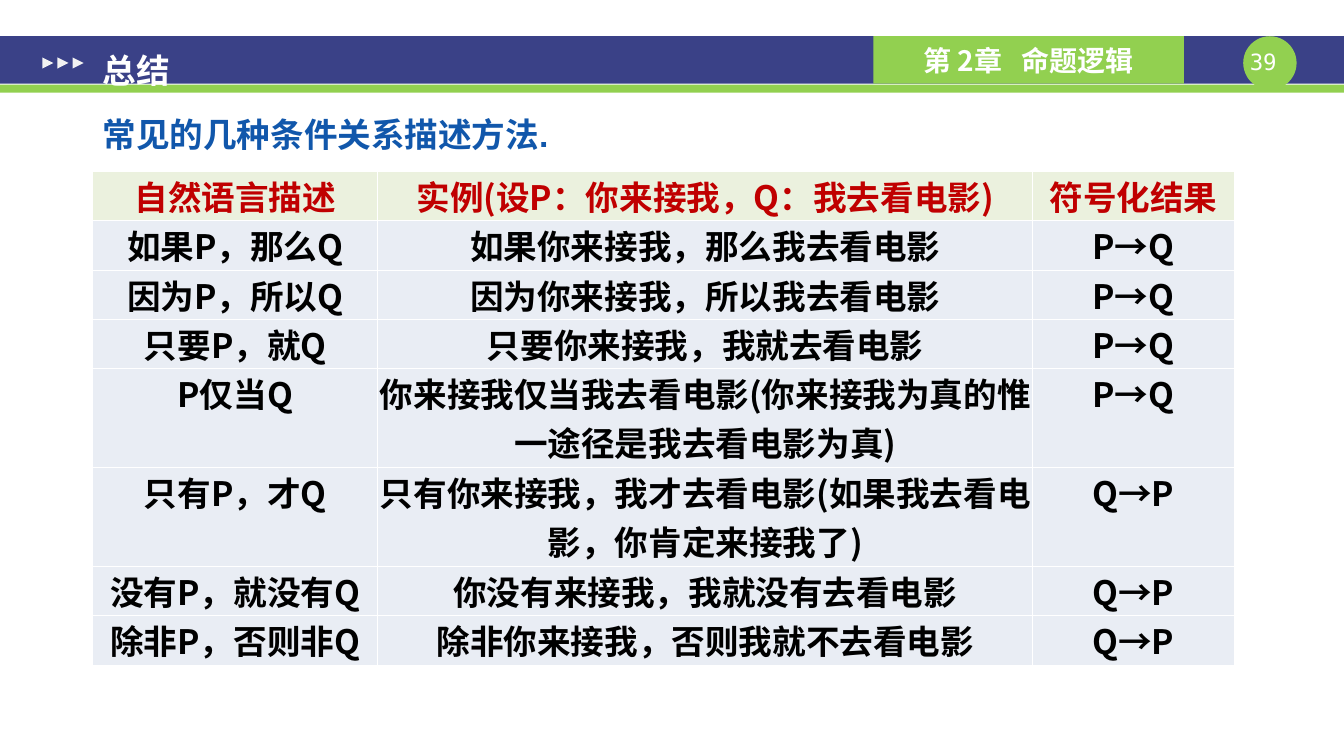
from dataclasses import dataclass, field

from lxml import etree
from pptx import Presentation
from pptx.dml.color import RGBColor
from pptx.enum.shapes import MSO_SHAPE
from pptx.enum.text import MSO_ANCHOR, MSO_AUTO_SIZE, PP_ALIGN
from pptx.oxml.ns import qn
from pptx.util import Inches, Pt

RECT, OVAL, TRIANGLE = MSO_SHAPE.RECTANGLE, MSO_SHAPE.OVAL, MSO_SHAPE.ISOSCELES_TRIANGLE
LEFT, CENTER = PP_ALIGN.LEFT, PP_ALIGN.CENTER
MIDDLE, FIT_SHAPE = MSO_ANCHOR.MIDDLE, MSO_AUTO_SIZE.SHAPE_TO_FIT_TEXT

COLORS = {
    "navy": "3A4187", "green": "92D050", "white": "FFFFFF", "arrow": "F2F2F2",
    "blue": "1157AB", "red": "C00000", "black": "000000",
    "header": "EBF1DE", "body": "E9EDF4",
}
CJK = "Noto Sans CJK SC"
MARGINS = ("margin_left", "margin_top", "margin_right", "margin_bottom")


def rgb(name: str) -> RGBColor:
    return RGBColor.from_string(COLORS[name])


@dataclass
class Style:
    size: int
    color: str
    font: str = CJK
    bold: bool = True
    align: PP_ALIGN = LEFT
    spacing: float = 1.0


@dataclass
class Block:
    kind: MSO_SHAPE
    box: tuple
    color: str
    rotation: int = 0


@dataclass
class Label:
    text: str
    box: tuple
    style: Style
    frame: dict = field(default_factory=dict)


def write(tf, text: str, style: Style) -> None:
    p = tf.paragraphs[0]
    p.alignment, p.line_spacing = style.align, style.spacing
    r = p.add_run()
    r.text = text
    for key, value in {"size": Pt(style.size), "bold": style.bold, "name": style.font}.items():
        setattr(r.font, key, value)
    r.font.color.rgb = rgb(style.color)
    east_asian = etree.SubElement(r.font._element, qn("a:ea"))
    east_asian.set("typeface", CJK)


def add_block(s, block: Block) -> None:
    sp = s.shapes.add_shape(block.kind, *map(Inches, block.box))
    sp.shadow.inherit = False
    sp.fill.solid()
    sp.fill.fore_color.rgb = rgb(block.color)
    sp.line.fill.background()
    sp.rotation = block.rotation


def add_label(s, label: Label) -> None:
    tf = s.shapes.add_textbox(*map(Inches, label.box)).text_frame
    for key, value in label.frame.items():
        setattr(tf, key, value)
    write(tf, label.text, label.style)


def add_borders(cell) -> None:
    tc_pr = cell._tc.get_or_add_tcPr()
    for i, side in enumerate(("lnL", "lnR", "lnT", "lnB")):
        ln = etree.Element(qn(f"a:{side}"), w=str(Pt(1)))
        fill = etree.SubElement(ln, qn("a:solidFill"))
        etree.SubElement(fill, qn("a:srgbClr"), val=COLORS["white"])
        tc_pr.insert(i, ln)


def add_grid(s, rows: list, box: tuple, widths: tuple, heights: tuple) -> None:
    table = s.shapes.add_table(len(rows), len(widths), *map(Inches, box)).table
    for column, width in zip(table.columns, widths):
        column.width = Inches(width)
    for i, (row, height) in enumerate(zip(rows, heights)):
        table.rows[i].height = Inches(height)
        text_color, fill_color = ("black", "body") if i else ("red", "header")
        for j, text in enumerate(row):
            cell = table.cell(i, j)
            for name, inset in zip(MARGINS, (0.02, 0, 0.02, 0)):
                setattr(cell, name, Inches(inset))
            cell.fill.solid()
            cell.fill.fore_color.rgb = rgb(fill_color)
            add_borders(cell)
            write(cell.text_frame, text, Style(24, text_color, align=CENTER))


# Header band, page badge, chapter tab and arrows
CHAPTER_BOX = (8.67, 0.36, 3.08, 0.47)
BLOCKS = [
    Block(RECT, (0, 0.36, 13.34, 0.47), "navy"),
    Block(RECT, (0, 0.84, 13.34, 0.08), "green"),
    Block(OVAL, (12.34, 0.36, 0.53, 0.53), "green"),
    Block(RECT, CHAPTER_BOX, "green"),
    *(Block(TRIANGLE, (0.42 + 0.15 * i, 0.57, 0.11, 0.11), "arrow", 90) for i in range(3)),
]

NO_WRAP = {"word_wrap": False, "auto_size": FIT_SHAPE}
LABELS = [
    Label("39 ", (12.34, 0.48, 0.53, 0.27),
          Style(16, "white", "DejaVu Sans Mono", False, CENTER),
          {"word_wrap": True, "auto_size": FIT_SHAPE, **dict.fromkeys(MARGINS, 0)}),
    Label("第 2章   命题逻辑", CHAPTER_BOX, Style(20, "white", align=CENTER),
          {"word_wrap": True, "vertical_anchor": MIDDLE}),
    Label("常见的几种条件关系描述方法.", (0.92, 1.08, 4.67, 0.5),
          Style(24, "blue", "Arial"), NO_WRAP),
    Label("总结", (0.92, 0.25, 0.87, 0.64), Style(24, "white", spacing=1.5), NO_WRAP),
]

# Conditional phrasings and their symbols
ROWS = [
    ("自然语言描述", "实例(设P：你来接我，Q：我去看电影)", "符号化结果"),
    ("如果P，那么Q", "如果你来接我，那么我去看电影", "P→Q"),
    ("因为P，所以Q", "因为你来接我，所以我去看电影", "P→Q"),
    ("只要P，就Q", "只要你来接我，我就去看电影", "P→Q"),
    ("P仅当Q", "你来接我仅当我去看电影(你来接我为真的惟一途径是我去看电影为真)", "P→Q"),
    ("只有P，才Q", "只有你来接我，我才去看电影(如果我去看电影，你肯定来接我了)", "Q→P"),
    ("没有P，就没有Q", "你没有来接我，我就没有去看电影", "Q→P"),
    ("除非P，否则非Q", "除非你来接我，否则我就不去看电影", "Q→P"),
]
LINE = 0.49
HEIGHTS = tuple(LINE * (2 if i in (4, 5) else 1) for i in range(len(ROWS)))


def main() -> None:
    prs = Presentation()
    prs.slide_width, prs.slide_height = Inches(13.34), Inches(7.5)
    s = prs.slides.add_slide(prs.slide_layouts[6])
    for block in BLOCKS:
        add_block(s, block)
    add_grid(s, ROWS, (0.92, 1.7, 11.33, 4.92), (2.83, 6.5, 2), HEIGHTS)
    for label in LABELS:
        add_label(s, label)
    prs.save("out.pptx")


if __name__ == "__main__":
    main()
